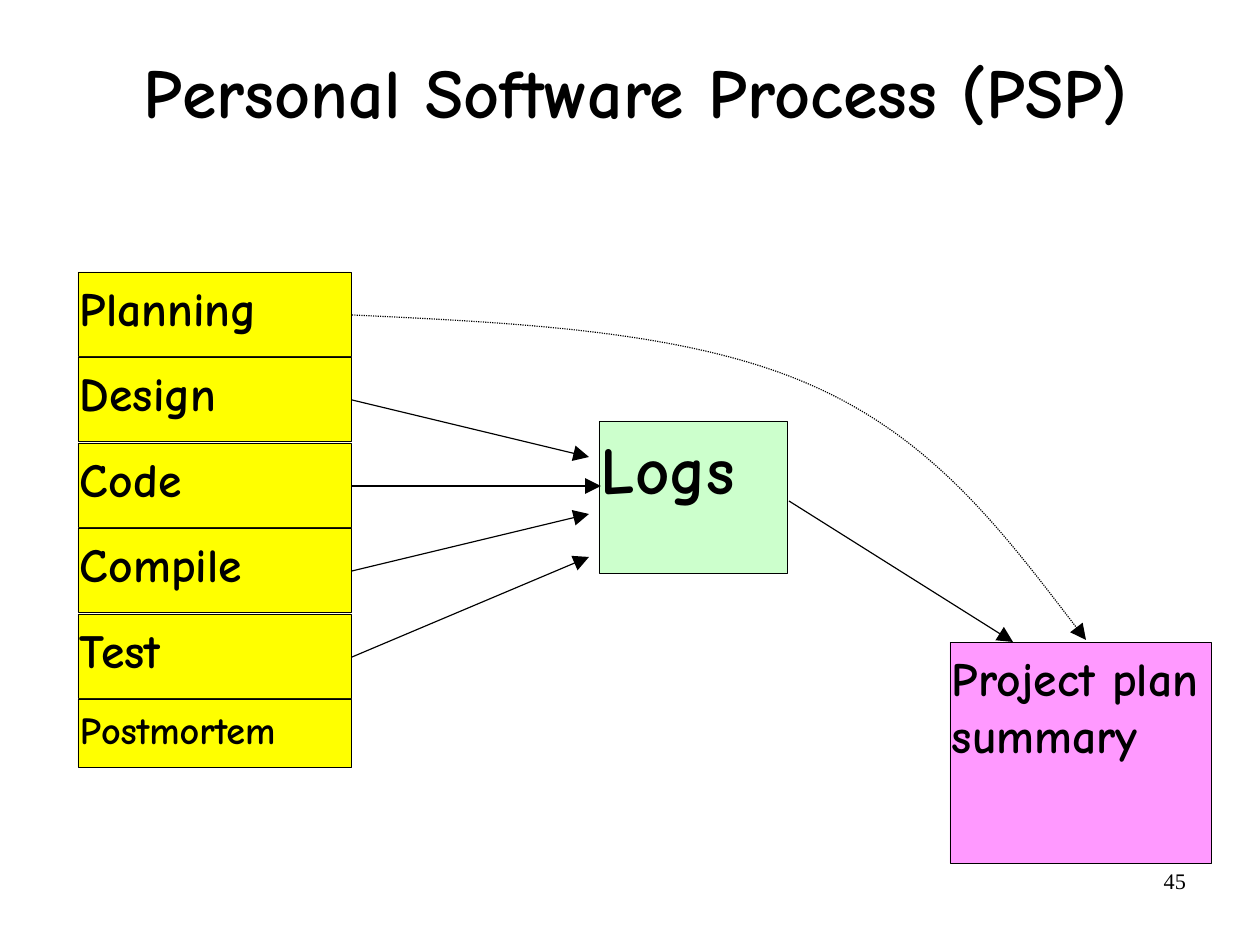
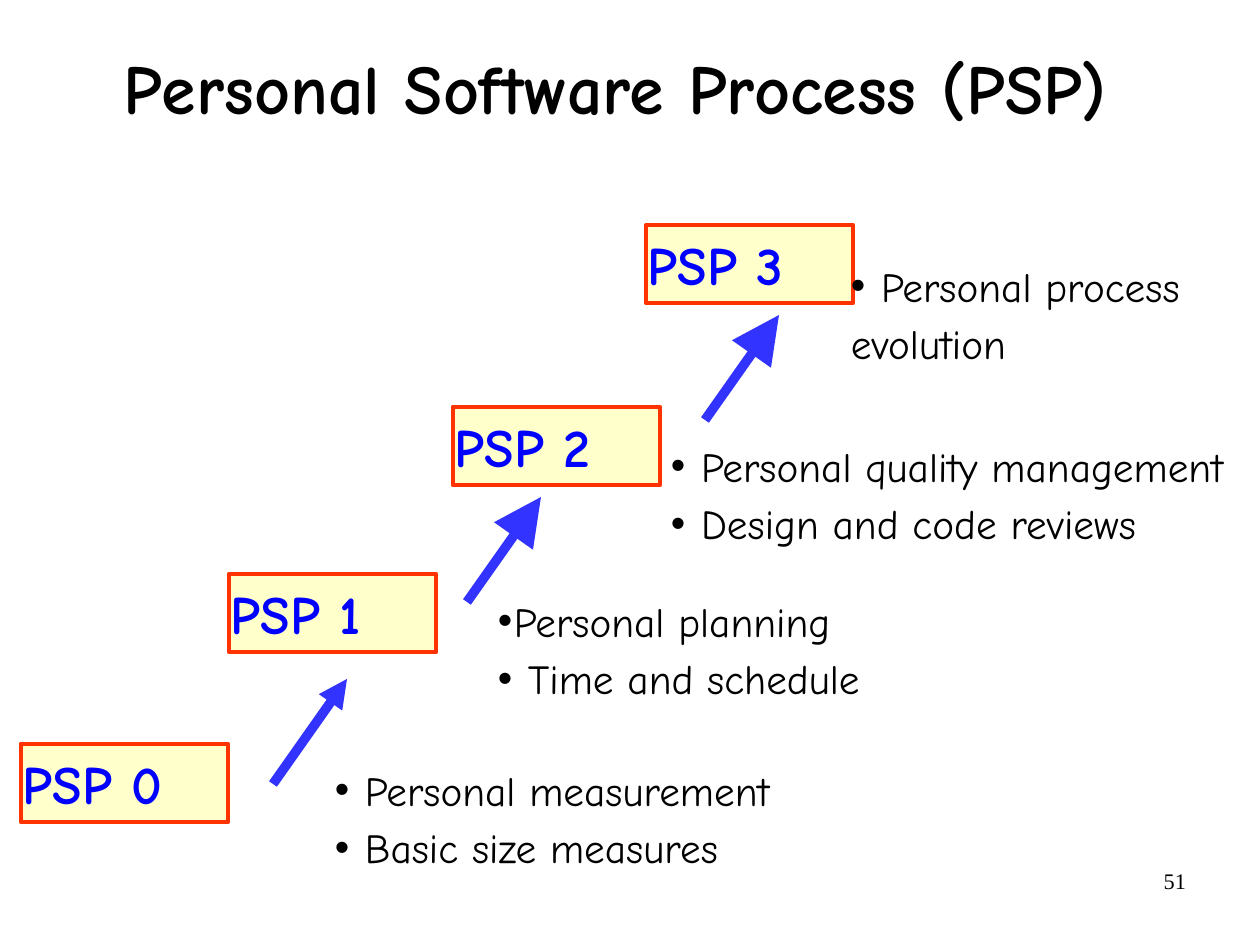
from dataclasses import dataclass

import pptx
import pptx.dml.color
import pptx.dml.line
import pptx.enum.dml
import pptx.enum.shapes
import pptx.enum.text
import pptx.oxml.ns
import pptx.presentation
import pptx.slide
import pptx.text.text
import pptx.util
from lxml import etree

RGBColor = pptx.dml.color.RGBColor
BLACK = RGBColor(0x00, 0x00, 0x00)
YELLOW = RGBColor(0xFF, 0xFF, 0x00)
GREEN = RGBColor(0xCC, 0xFF, 0xCC)
PINK = RGBColor(0xFF, 0x99, 0xFF)
CREAM = RGBColor(0xFF, 0xFF, 0xCC)
RED = RGBColor(0xFF, 0x33, 0x00)
BLUE = RGBColor(0x00, 0x00, 0xFF)
ARROW_BLUE = RGBColor(0x33, 0x33, 0xFF)

FONT = "Comic Neue"
EMU_PER_PX = 8000
SLIDE_W, SLIDE_H = 1260, 945
TITLE_ONLY = 5

Point = tuple[int, int]
Area = tuple[int, int, int, int]


@dataclass(frozen=True)
class BoxStyle:
    fill: RGBColor
    size: int
    color: RGBColor = BLACK
    line: RGBColor = BLACK
    line_width: float = 0.25


@dataclass(frozen=True)
class Level:
    name: str
    box: Point
    list_area: Area
    practices: tuple[str, ...]
    indents: tuple[int, ...]  # text indent after the bullet; 0 means no bullet


PHASE = BoxStyle(YELLOW, 30)
LAST_PHASE = BoxStyle(YELLOW, 24)
LOGS = BoxStyle(GREEN, 42)
SUMMARY = BoxStyle(PINK, 30)
LEVEL = BoxStyle(CREAM, 34, BLUE, RED, 3)

PHASES = ("Planning", "Design", "Code", "Compile", "Test", "Postmortem")
LEVELS = (
    Level("PSP 0", (21, 744), (333, 758, 638, 143),
          ("Personal measurement", "Basic size measures"), (30, 30)),
    Level("PSP 1", (229, 574), (496, 589, 638, 143),
          ("Personal planning", "Time and schedule"), (16, 30)),
    Level("PSP 2", (453, 407), (669, 434, 590, 115),
          ("Personal quality management", "Design and code reviews"), (30, 30)),
    Level("PSP 3", (646, 225), (849, 254, 410, 115),
          ("Personal process", "evolution"), (30, 0)),
)


def px(n: int) -> pptx.util.Emu:
    return pptx.util.Emu(n * EMU_PER_PX)


def sub(parent: etree._Element, tag: str, **attrs: str) -> etree._Element:
    """Append a DrawingML child element."""
    return etree.SubElement(parent, pptx.oxml.ns.qn(f"a:{tag}"), attrs)


def set_frame(tf: pptx.text.text.TextFrame, inset_x: int = 2, inset_y: int = 7) -> None:
    tf.word_wrap = True
    tf.auto_size = pptx.enum.text.MSO_AUTO_SIZE.NONE
    tf.margin_left = tf.margin_right = px(inset_x)
    tf.margin_top = tf.margin_bottom = px(inset_y)


def set_font(p: pptx.text.text._Paragraph, size: int, color: RGBColor = BLACK,
             bold: bool = False, name: str = FONT) -> None:
    p.font.name = name
    p.font.size = pptx.util.Pt(size)
    p.font.bold = bold
    p.font.color.rgb = color


def add_slide(prs: pptx.presentation.Presentation, title_area: Area,
              number: int) -> pptx.slide.Slide:
    """Add a slide with its title and page number."""
    s = prs.slides.add_slide(prs.slide_layouts[TITLE_ONLY])
    title = s.shapes.title
    title.left, title.top, title.width, title.height = map(px, title_area)
    tf = title.text_frame
    set_frame(tf)
    tf.vertical_anchor = pptx.enum.text.MSO_ANCHOR.MIDDLE
    p = tf.paragraphs[0]
    p.text = "Personal Software Process (PSP)"
    p.alignment = pptx.enum.text.PP_ALIGN.CENTER
    p.line_spacing = 0.88
    set_font(p, 44, bold=True)

    tf = s.shapes.add_textbox(*map(px, (903, 861, 294, 65))).text_frame
    set_frame(tf, 11, 6)
    p = tf.paragraphs[0]
    p.text = str(number)
    p.alignment = pptx.enum.text.PP_ALIGN.RIGHT
    set_font(p, 14, name="Times New Roman")
    return s


def add_box(s: pptx.slide.Slide, area: Area, text: str, style: BoxStyle) -> None:
    sp = s.shapes.add_shape(pptx.enum.shapes.MSO_SHAPE.RECTANGLE, *map(px, area))
    sp.shadow.inherit = False
    sp.fill.solid()
    sp.fill.fore_color.rgb = style.fill
    sp.line.color.rgb = style.line
    sp.line.width = pptx.util.Pt(style.line_width)
    tf = sp.text_frame
    set_frame(tf)
    tf.vertical_anchor = pptx.enum.text.MSO_ANCHOR.TOP
    p = tf.paragraphs[0]
    p.text = text
    p.alignment = pptx.enum.text.PP_ALIGN.LEFT
    set_font(p, style.size, style.color, bold=True)


def set_arrow_line(line: pptx.dml.line.LineFormat, color: RGBColor, width: float,
                   head: str, dash: pptx.enum.dml.MSO_LINE | None = None) -> None:
    line.color.rgb = color
    line.width = pptx.util.Pt(width)
    if dash is not None:
        line.dash_style = dash
    sub(line._get_or_add_ln(), "tailEnd", type="triangle", w=head, len=head)


def add_arrow(s: pptx.slide.Slide, start: Point, end: Point, color: RGBColor = BLACK,
              width: float = 0.75, head: str = "lg") -> None:
    c = s.shapes.add_connector(pptx.enum.shapes.MSO_CONNECTOR.STRAIGHT,
                               *map(px, (*start, *end)))
    set_arrow_line(c.line, color, width, head)
    sub(c._element.spPr, "effectLst")


def add_curved_arrow(s: pptx.slide.Slide, points: list[Point]) -> None:
    """Draw a dotted chain of cubic curves: a start, then three points per curve."""
    builder = s.shapes.build_freeform(*points[0], scale=EMU_PER_PX)
    builder.add_line_segments(points[1:], close=False)
    sp = builder.convert_to_shape()
    outline = next(sp._element.iter(pptx.oxml.ns.qn("a:path")))
    segments = outline.findall(pptx.oxml.ns.qn("a:lnTo"))
    for i in range(0, len(segments), 3):
        curve = sub(outline, "cubicBezTo")
        for segment in segments[i:i + 3]:
            curve.append(segment[0])
            outline.remove(segment)
    sp.shadow.inherit = False
    sp.fill.background()
    set_arrow_line(sp.line, BLACK, 0.75, "lg", pptx.enum.dml.MSO_LINE.ROUND_DOT)


def add_practices(s: pptx.slide.Slide, level: Level) -> None:
    tf = s.shapes.add_textbox(*map(px, level.list_area)).text_frame
    set_frame(tf)
    for i, (text, indent) in enumerate(zip(level.practices, level.indents)):
        p = tf.add_paragraph() if i else tf.paragraphs[0]
        p.text = text
        if i:
            p.space_before = pptx.util.Pt(5.2)
        if indent:
            pPr = p._p.get_or_add_pPr()
            pPr.set("marL", str(px(indent)))
            pPr.set("indent", str(px(-indent)))
            sub(pPr, "buFont", typeface="Arial")
            sub(pPr, "buChar", char="•")
        set_font(p, 26)


def build_flow(prs: pptx.presentation.Presentation) -> None:
    s = add_slide(prs, (40, 0, 1192, 193), 45)
    tops = [272 + i * 171 // 2 for i in range(len(PHASES))]
    for name, top in zip(PHASES[:-1], tops):
        add_box(s, (78, top, 273, 84), name, PHASE)
    add_box(s, (78, tops[-1], 273, 68), PHASES[-1], LAST_PHASE)
    add_box(s, (599, 421, 188, 152), "Logs", LOGS)
    add_box(s, (950, 642, 261, 221), "Project plan summary", SUMMARY)

    log_ends = ((589, 457), (601, 486), (589, 514), (589, 557))
    for top, end in zip(tops[1:-1], log_ends):
        add_arrow(s, (352, top + 43), end)
    add_arrow(s, (789, 501), (1013, 642))
    add_curved_arrow(s, [(352, tops[0] + 43), (521, 323), (690, 331), (813, 386),
                         (935, 440), (1010, 541), (1086, 640)])


def build_levels(prs: pptx.presentation.Presentation) -> None:
    s = add_slide(prs, (0, 0, 1231, 185), 51)
    for level in LEVELS:
        add_box(s, (*level.box, 207, 78), level.name, LEVEL)
        add_practices(s, level)
    for x, y, head in ((273, 784, "med"), (467, 602, "lg"), (705, 420, "lg")):
        add_arrow(s, (x, y), (x + 74, y - 105), ARROW_BLUE, 6, head)


def main() -> None:
    prs = pptx.Presentation()
    prs.slide_width, prs.slide_height = px(SLIDE_W), px(SLIDE_H)
    build_flow(prs)
    build_levels(prs)
    prs.save("out.pptx")


if __name__ == "__main__":
    main()
